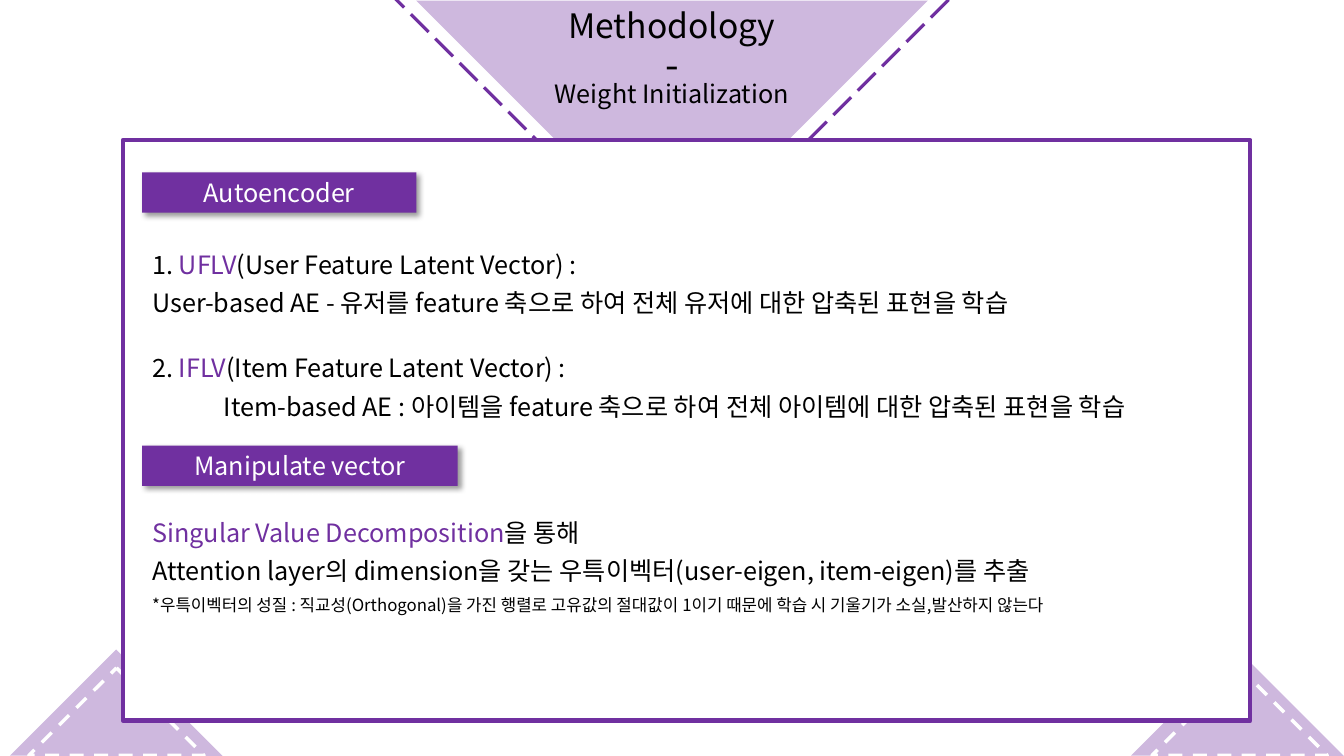
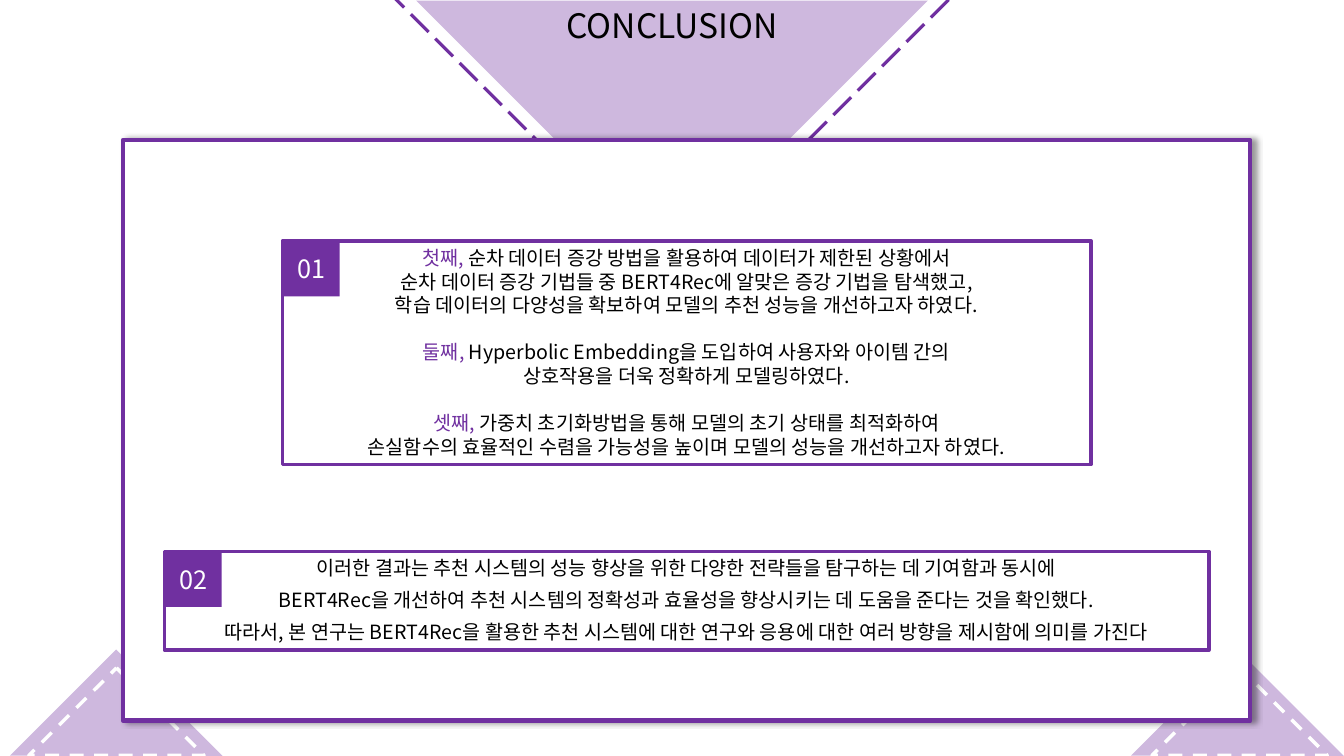
"""Build two purple slides: weight initialization method and conclusion."""
from dataclasses import dataclass

from lxml.etree import SubElement
from pptx import Presentation
from pptx.dml.color import RGBColor
from pptx.enum.dml import MSO_LINE
from pptx.enum.shapes import MSO_SHAPE
from pptx.enum.text import MSO_ANCHOR, MSO_AUTO_SIZE, PP_ALIGN
from pptx.oxml.ns import qn
from pptx.util import Inches, Pt

FONT = "Noto Sans CJK KR"
PURPLE, WHITE, BLACK = "7030A0", "FFFFFF", "000000"
LEFT, CENTER = PP_ALIGN.LEFT, PP_ALIGN.CENTER
TRIANGLE, RECTANGLE = MSO_SHAPE.RIGHT_TRIANGLE, MSO_SHAPE.RECTANGLE
PANEL = (1.22, 1.39, 11.18, 5.76)
TITLE = (4.66, 0, 4.01, 0.5)


@dataclass
class Line:
    """One paragraph, with an optional accented part."""
    text: str
    accent: str = ""
    size: float = 18
    align: PP_ALIGN = LEFT
    after: float = 6
    color: str = BLACK


SUBTITLES = [
    ((6.33, 0.35, 0.67, 0.57), Line("-", size=28, align=CENTER)),
    ((5.14, 0.73, 3.05, 0.4), Line("Weight Initialization", align=CENTER)),
]

METHOD_SECTIONS = [
    ("Autoencoder", (1.41, 1.71, 2.72, 0.4), (1.41, 2.42, 10.56, 1.83), [
        Line("1. UFLV(User Feature Latent Vector) :", "UFLV"),
        Line("User-based AE - 유저를 feature 축으로 하여 전체 유저에 대한 압축된 표현을 학습",
             after=24.5),
        Line("2. IFLV(Item Feature Latent Vector) :", "IFLV"),
        Line("Item-based AE : 아이템을 feature 축으로 하여 전체 아이템에 대한 압축된 표현을 학습",
             align=CENTER),
    ]),
    ("Manipulate vector", (1.41, 4.42, 3.13, 0.4), (1.41, 5.08, 10.56, 1.08), [
        Line("Singular Value Decomposition을 통해", "Singular Value Decomposition"),
        Line("Attention layer의 dimension을 갖는 우특이벡터(user-eigen, item-eigen)를 추출"),
        Line("*우특이벡터의 성질 : 직교성(Orthogonal)을 가진 행렬로 고유값의 절대값이 "
             "1이기 때문에 학습 시 기울기가 소실,발산하지 않는다", size=12),
    ]),
]

CONCLUSIONS = [
    ("01", (2.8, 2.39, 8.02, 2.22), 0, 17, [
        [("첫째, 순차 데이터 증강 방법을 활용하여 데이터가 제한된 상황에서", "첫째,"),
         ("순차 데이터 증강 기법들 중 BERT4Rec에 알맞은 증강 기법을 탐색했고,", ""),
         ("학습 데이터의 다양성을 확보하여 모델의 추천 성능을 개선하고자 하였다.", "")],
        [("둘째, Hyperbolic Embedding을 도입하여 사용자와 아이템 간의", "둘째,"),
         ("상호작용을 더욱 정확하게 모델링하였다.", "")],
        [("셋째, 가중치 초기화방법을 통해 모델의 초기 상태를 최적화하여", "셋째,"),
         ("손실함수의 효율적인 수렴을 가능성을 높이며 모델의 성능을 개선하고자 하였다.", "")],
    ]),
    ("02", (1.63, 5.47, 10.36, 0.98), 6, 6, [
        [("이러한 결과는 추천 시스템의 성능 향상을 위한 다양한 전략들을 탐구하는 데 기여함과 동시에", ""),
         ("BERT4Rec을 개선하여 추천 시스템의 정확성과 효율성을 향상시키는 데 도움을 준다는 것을 확인했다.", ""),
         ("따라서, 본 연구는 BERT4Rec을 활용한 추천 시스템에 대한 연구와 응용에 대한 "
          "여러 방향을 제시함에 의미를 가진다", "")],
    ]),
]

CORNERS = [
    ((0.41, 6.75, 1.49, 1.5), (0.54, 6.88, 1.23, 1.23), 135, WHITE, 2.5, MSO_LINE.DASH),
    ((11.53, 6.75, 1.49, 1.5), (11.68, 6.88, 1.23, 1.23), 135, WHITE, 2.5, MSO_LINE.DASH),
    ((4.87, -1.79, 3.59, 3.59), (4.7, -2.02, 3.94, 3.94), 315, PURPLE, 2.25,
     MSO_LINE.LONG_DASH),
]


def rgb(value):
    return RGBColor.from_string(value)


def inches(box):
    return [Inches(length) for length in box]


def add_shape(slide, kind, box, fill=None, line=None, width=0, rotation=0):
    shape = slide.shapes.add_shape(kind, *inches(box))
    shape.shadow.inherit = False
    shape.rotation = rotation
    if fill:
        shape.fill.solid()
        shape.fill.fore_color.rgb = rgb(fill)
    else:
        shape.fill.background()
    if line:
        shape.line.color.rgb = rgb(line)
        shape.line.width = Pt(width)
    else:
        shape.line.fill.background()
    return shape


def add_shadow(shape, degrees):
    effects = shape._element.spPr.find(qn("a:effectLst"))
    shadow = SubElement(effects, qn("a:outerShdw"), blurRad=str(Pt(4)), dist=str(Pt(3)),
                        dir=str(degrees * 60000), algn="tl", rotWithShape="0")
    color = SubElement(shadow, qn("a:srgbClr"), val=BLACK)
    SubElement(color, qn("a:alpha"), val="40000")


def write(shape, lines, anchor=MSO_ANCHOR.TOP):
    frame = shape.text_frame
    frame.word_wrap = True
    frame.auto_size = MSO_AUTO_SIZE.NONE
    frame.vertical_anchor = anchor
    for index, line in enumerate(lines):
        paragraph = frame.paragraphs[0] if index == 0 else frame.add_paragraph()
        paragraph.alignment = line.align
        paragraph.space_before = Pt(0)
        paragraph.space_after = Pt(line.after)
        properties = paragraph._p.get_or_add_pPr()
        properties.set("marL", "0")
        properties.set("indent", "0")
        SubElement(properties, qn("a:buNone"))
        font = paragraph.font
        font.size = Pt(line.size)
        font.color.rgb = rgb(line.color)
        font.name = FONT
        SubElement(properties.find(qn("a:defRPr")), qn("a:ea"), typeface=FONT)
        before, accent, after = line.text.partition(line.accent) if line.accent else (line.text, "", "")
        for text in filter(None, (before, accent, after)):
            run = paragraph.add_run()
            run.text = text
            if text == accent:
                run.font.color.rgb = rgb(PURPLE)


def fill_placeholder(slide, placeholder, box, lines):
    placeholder.left, placeholder.top, placeholder.width, placeholder.height = inches(box)
    write(placeholder, lines)
    slide.shapes._spTree.append(placeholder._element)


def add_base(presentation, layout, title, panel_shadow=False):
    slide = presentation.slides.add_slide(presentation.slide_layouts.get_by_name(layout))
    for solid_box, dashed_box, rotation, color, width, dash in CORNERS:
        solid = add_shape(slide, TRIANGLE, solid_box, fill=PURPLE, rotation=rotation)
        SubElement(solid._element.spPr.find(".//" + qn("a:srgbClr")), qn("a:alpha"), val="34000")
        dashed = add_shape(slide, TRIANGLE, dashed_box, line=color, width=width, rotation=rotation)
        dashed.line.dash_style = dash
    panel = add_shape(slide, RECTANGLE, PANEL, WHITE, PURPLE, 3.25)
    if panel_shadow:
        add_shadow(panel, 0)
    fill_placeholder(slide, slide.shapes.title, TITLE, [Line(title, size=24, align=CENTER)])
    return slide


def build_method(presentation):
    slide = add_base(presentation, "Two Content", "Methodology")
    for box, line in SUBTITLES:
        write(slide.shapes.add_textbox(*inches(box)), [line])
    bodies = list(slide.placeholders)
    bodies.remove(slide.shapes.title)
    for body, (heading, heading_box, body_box, lines) in zip(bodies, METHOD_SECTIONS):
        label = add_shape(slide, RECTANGLE, heading_box, fill=PURPLE)
        add_shadow(label, 45)
        write(label, [Line(heading, align=CENTER, color=WHITE)])
        fill_placeholder(slide, body, body_box, lines)


def build_conclusion(presentation):
    slide = add_base(presentation, "Title Only", "CONCLUSION", panel_shadow=True)
    for number, box, line_gap, group_gap, groups in CONCLUSIONS:
        lines = [
            Line(text, accent, 14, CENTER, group_gap if row == len(group) - 1 else line_gap)
            for group in groups for row, (text, accent) in enumerate(group)
        ]
        lines[-1].after = line_gap
        write(add_shape(slide, RECTANGLE, box, line=PURPLE, width=2.5), lines)
        badge = add_shape(slide, RECTANGLE, (*box[:2], 0.57, 0.55), fill=PURPLE)
        write(badge, [Line(number, align=CENTER, after=0, color=WHITE)], MSO_ANCHOR.MIDDLE)


def main():
    presentation = Presentation()
    presentation.slide_width, presentation.slide_height = inches((13.33, 7.5))
    build_method(presentation)
    build_conclusion(presentation)
    presentation.save("out.pptx")


if __name__ == "__main__":
    main()
